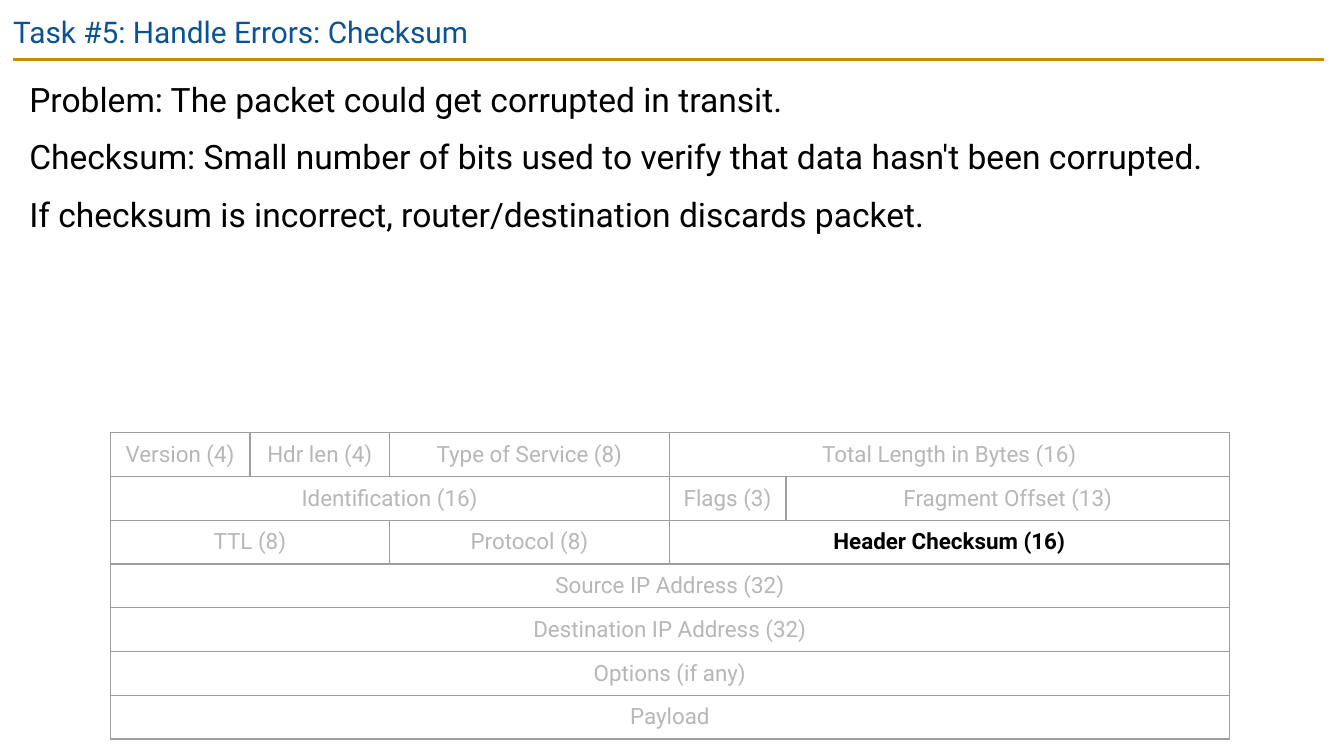
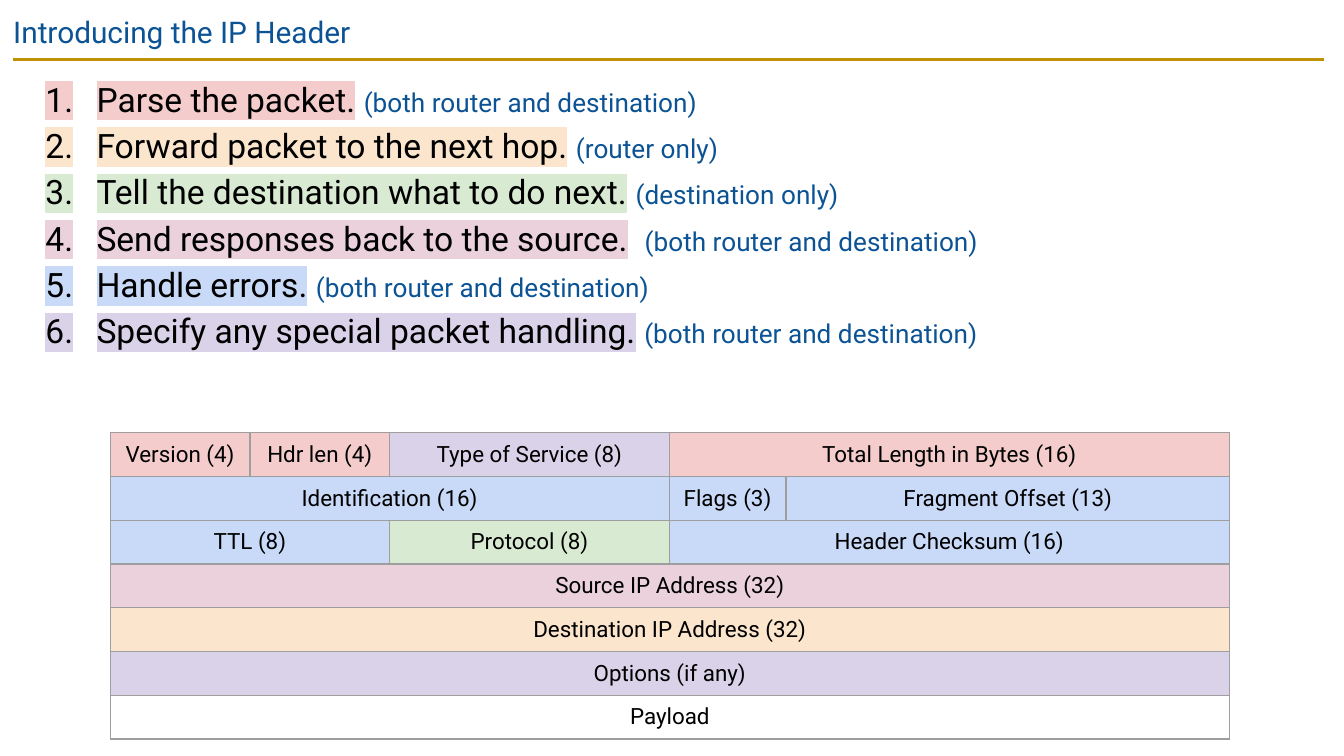
from pptx import Presentation, util as u
from pptx.dml.color import RGBColor
from pptx.enum import shapes, text
from pptx.oxml import parse_xml
from pptx.oxml.ns import nsdecls, qn

# Shared look
FONT = "Roboto"
BLACK = RGBColor(0x00, 0x00, 0x00)
BLUE = RGBColor(0x0B, 0x53, 0x94)
GOLD = RGBColor(0xBF, 0x90, 0x00)
FADED = RGBColor(0xB7, 0xB7, 0xB7)
EDGE = RGBColor(0x9E, 0x9E, 0x9E)
RED = RGBColor(0xF4, 0xCC, 0xCC)
PEACH = RGBColor(0xFC, 0xE5, 0xCD)
GREEN = RGBColor(0xD9, 0xEA, 0xD3)
PINK = RGBColor(0xEA, 0xD1, 0xDC)
SKY = RGBColor(0xC9, 0xDA, 0xF8)
LILAC = RGBColor(0xD9, 0xD2, 0xE9)

# Content
POINTS = [
    "Problem: The packet could get corrupted in transit.",
    "Checksum: Small number of bits used to verify that data hasn't been corrupted.",
    "If checksum is incorrect, router/destination discards packet.",
]
BOTH = "(both router and destination)"
TASKS = [  # task, gap, who does it, highlight
    ("Parse the packet.", " ", BOTH, RED),
    ("Forward packet to the next hop.", " ", "(router only)", PEACH),
    ("Tell the destination what to do next.", " ", "(destination only)", GREEN),
    ("Send responses back to the source.", "  ", BOTH, PINK),
    ("Handle errors.", " ", BOTH, SKY),
    ("Specify any special packet handling.", " ", BOTH, LILAC),
]
HEADER = [  # field, columns spanned, colour of its task
    [("Version (4)", 1, RED), ("Hdr len (4)", 1, RED),
     ("Type of Service (8)", 2, LILAC), ("Total Length in Bytes (16)", 4, RED)],
    [("Identification (16)", 4, SKY), ("Flags (3)", 1, SKY),
     ("Fragment Offset (13)", 3, SKY)],
    [("TTL (8)", 2, SKY), ("Protocol (8)", 2, GREEN),
     ("Header Checksum (16)", 4, SKY)],
    [("Source IP Address (32)", 8, PINK)],
    [("Destination IP Address (32)", 8, PEACH)],
    [("Options (if any)", 8, LILAC)],
    [("Payload", 8, None)],
]

# Grid: four-bit columns, with the flags column cut narrower
UNIT, FLAGS = 1.04, 0.87
COLS = [UNIT] * 4 + [FLAGS, 2 * UNIT + 0.01 - FLAGS] + [UNIT] * 2
LEFT, TOP, DEEP = 0.82, 3.22, 2.28

deck = Presentation()
deck.slide_width = u.Inches(10)
deck.slide_height = deck.slide_width * 9 // 16


def add_run(para, words, size, color, bold=False, mark=None):
    run = para.add_run()
    run.text = words
    font = run.font
    font.name, font.size, font.bold = FONT, u.Pt(size), bold
    font.color.rgb = color
    if mark is not None:
        fill = run._r.rPr.find(qn("a:solidFill"))
        fill.addnext(parse_xml(
            f'<a:highlight {nsdecls("a")}><a:srgbClr val="{mark}"/></a:highlight>'))


def add_box(slide, left, top, wide, high):
    frame = slide.shapes.add_textbox(*map(u.Inches, (left, top, wide, high))).text_frame
    frame.word_wrap = True
    frame.vertical_anchor = text.MSO_ANCHOR.TOP
    frame.margin_left = frame.margin_right = u.Inches(0.1)
    frame.margin_top = frame.margin_bottom = u.Inches(0.1)
    return frame


def add_paras(slide, count):
    """Body box with its paragraphs, spaced alike."""
    frame = add_box(slide, 0.12, 0.44, 9.74, 2.56)
    paras = [frame.paragraphs[0]] + [frame.add_paragraph() for _ in range(count - 1)]
    for para in paras:
        para.line_spacing = 1.15
    paras[0].space_before = u.Pt(6)
    return paras


def number(para):
    props = para._p.get_or_add_pPr()
    props.set("marL", str(u.Inches(0.5)))
    props.set("indent", str(u.Inches(-0.38)))
    for part in (f'<a:buClr {nsdecls("a")}><a:srgbClr val="{BLACK}"/></a:buClr>',
                 f'<a:buFont {nsdecls("a")} typeface="{FONT}"/>',
                 f'<a:buAutoNum {nsdecls("a")} type="arabicPeriod"/>'):
        props.append(parse_xml(part))


def add_page(title):
    slide = deck.slides.add_slide(deck.slide_layouts[6])
    rule = slide.shapes.add_connector(
        shapes.MSO_CONNECTOR.STRAIGHT, *map(u.Inches, (0.1, 0.44, 9.85, 0.44)))
    rule.line.color.rgb = GOLD
    rule.line.width = u.Pt(1.5)
    rule._element.spPr.append(parse_xml(f'<a:effectLst {nsdecls("a")}/>'))
    add_run(add_box(slide, 0, 0, 9.32, 0.43).paragraphs[0], title, 16, BLUE)
    return slide


def edge(cell):
    props = cell._tc.get_or_add_tcPr()
    for spot, side in enumerate(("lnL", "lnR", "lnT", "lnB")):
        props.insert(spot, parse_xml(
            f'<a:{side} {nsdecls("a")} w="{u.Pt(0.75)}"><a:solidFill>'
            f'<a:srgbClr val="{EDGE}"/></a:solidFill></a:{side}>'))


def add_header(slide, focus=None):
    """Packet header; with a focus, one field stands out and the rest fade."""
    grid = slide.shapes.add_table(
        len(HEADER), len(COLS),
        *map(u.Inches, (LEFT, TOP, sum(COLS), DEEP))).table
    grid.first_row = grid.horz_banding = False
    for col, wide in zip(grid.columns, COLS):
        col.width = u.Inches(wide)
    for cell in grid.iter_cells():
        cell.fill.background()
        edge(cell)
    for row, fields in enumerate(HEADER):
        col = 0
        for name, span, tint in fields:
            cell = grid.cell(row, col)
            if span > 1:
                cell.merge(grid.cell(row, col + span - 1))
            col += span
            cell.vertical_anchor = text.MSO_ANCHOR.MIDDLE
            cell.margin_left = cell.margin_right = u.Inches(0.03)
            cell.margin_top = cell.margin_bottom = u.Inches(0.03)
            if tint is not None and focus is None:
                cell.fill.solid()
                cell.fill.fore_color.rgb = tint
            para = cell.text_frame.paragraphs[0]
            para.alignment = text.PP_ALIGN.CENTER
            color = BLACK if focus in (None, name) else FADED
            add_run(para, name, 12, color, bold=name == focus)


# Slide 1: checksum
page = add_page("Task #5: Handle Errors: Checksum")
for para, point in zip(add_paras(page, len(POINTS)), POINTS):
    para.space_before = u.Pt(6)
    add_run(para, point, 18, BLACK)
add_header(page, focus="Header Checksum (16)")

# Slide 2: tasks matched to header fields
page = add_page("Introducing the IP Header")
add_header(page)
for para, (task, gap, who, mark) in zip(add_paras(page, len(TASKS)), TASKS):
    number(para)
    add_run(para, task, 18, BLACK, mark=mark)
    add_run(para, gap, 18, BLACK)
    add_run(para, who, 14, BLUE)

deck.save("out.pptx")
